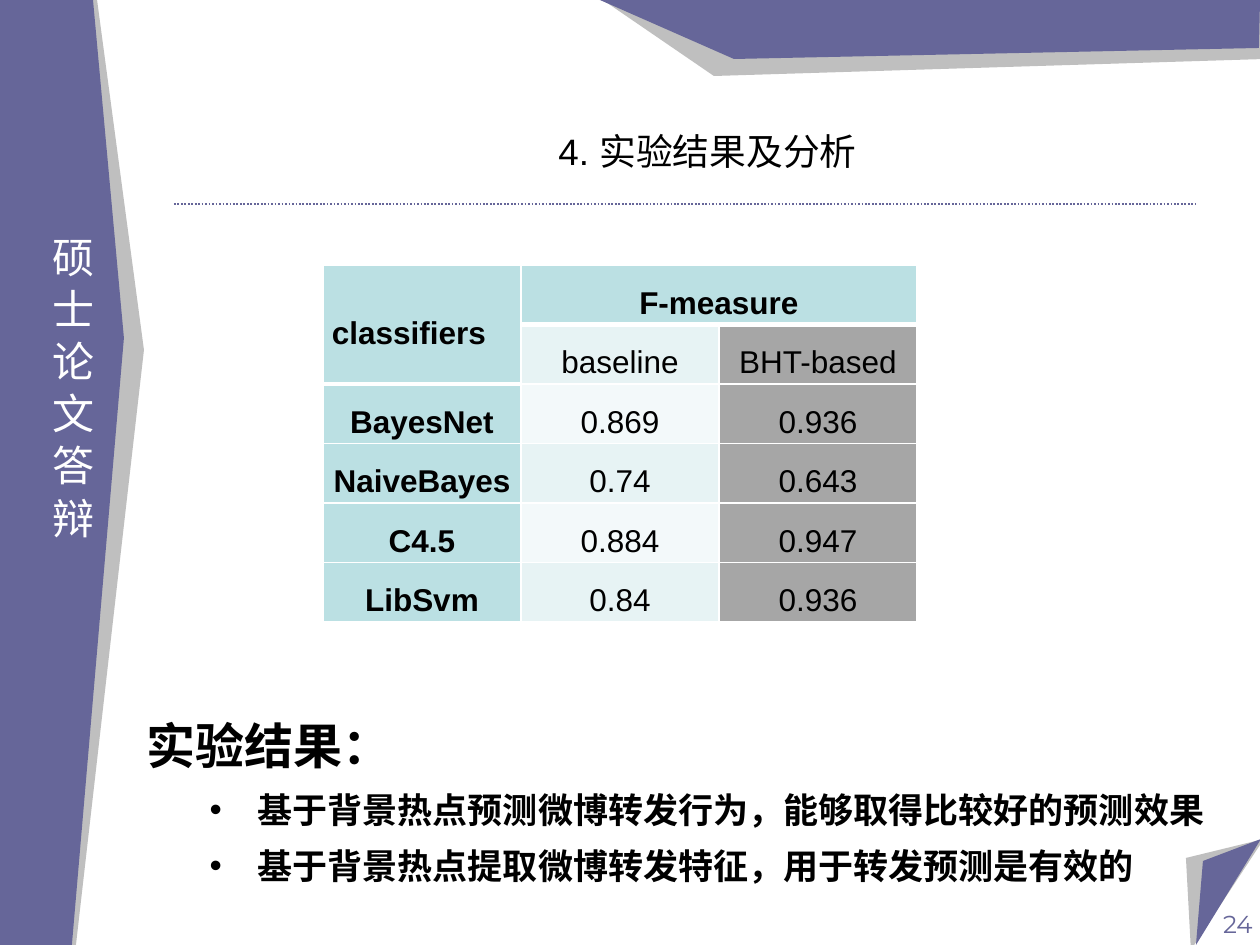
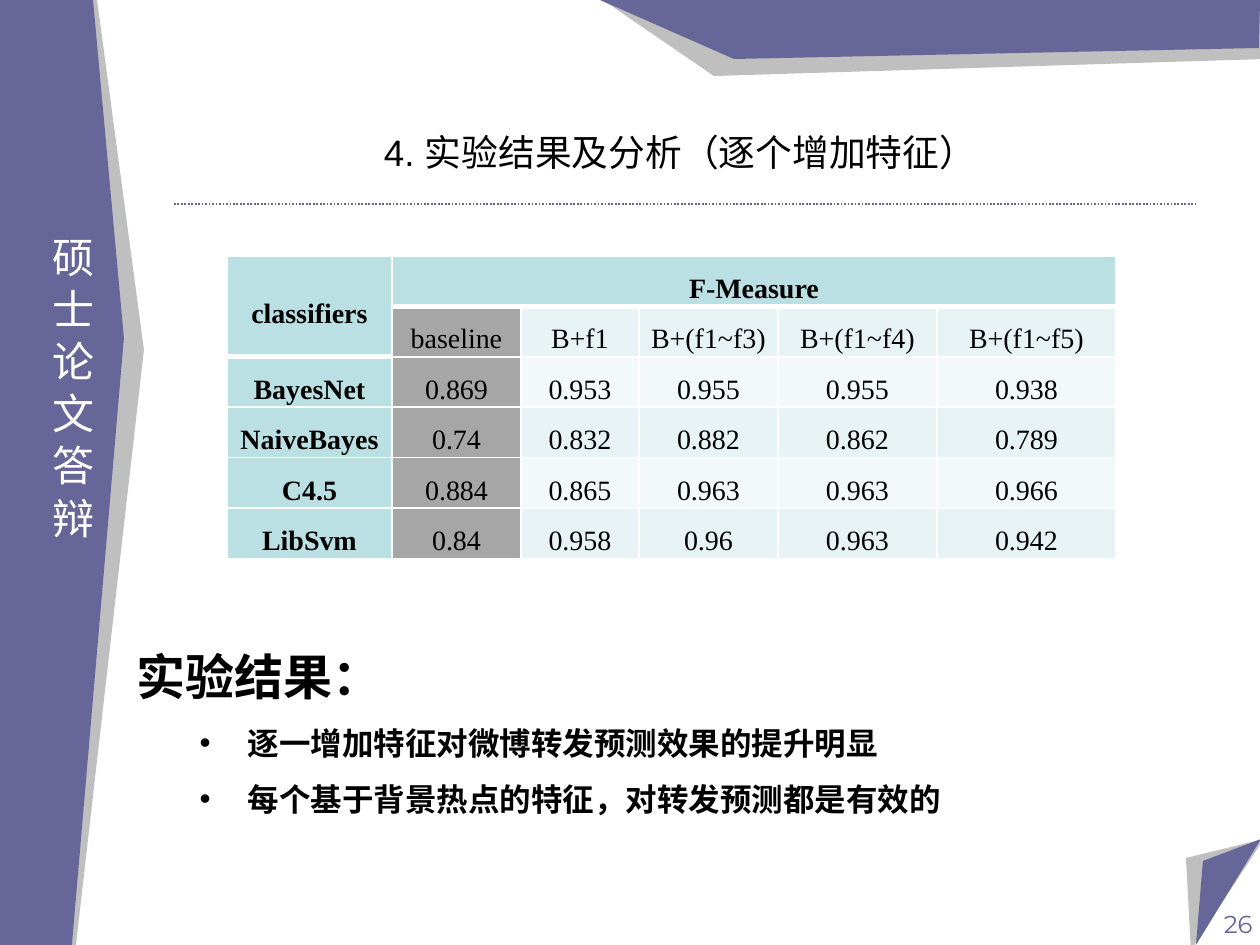
from lxml.etree import SubElement as Sub
from pptx import Presentation
from pptx.dml.color import RGBColor as RGB
from pptx.enum.dml import MSO_LINE
from pptx.enum.shapes import MSO_CONNECTOR as CONN
from pptx.enum.text import MSO_ANCHOR as ANCHOR, MSO_AUTO_SIZE as FIT, PP_ALIGN as ALIGN
from pptx.oxml.ns import qn
from pptx.util import Emu, Pt

SCALE = 914400 / 126  # EMU in one px
WIDTH, HEIGHT = 1260, 945

PURPLE = RGB(0x66, 0x66, 0x99)
GREY = RGB(0x80, 0x80, 0x80)
WHITE = RGB(0xFF, 0xFF, 0xFF)
BLACK = RGB(0, 0, 0)
HEADER = RGB(0xBB, 0xE0, 0xE3)
BAND_DARK = RGB(0xE7, 0xF3, 0xF4)
BAND_LIGHT = RGB(0xF3, 0xF9, 0xFA)
MARKED = RGB(0xA6, 0xA6, 0xA6)

SANS, SERIF, NUMBER, CJK = "Arial", "Times New Roman", "Montserrat", "Noto Sans CJK SC"

# Outlines of the frame, each translucent shadow before its purple face
TOP_SHADOW = [(600, -2), (714, 76), (1265, 59), (1264, -4)]
TOP_FACE = [(600, 0), (734, 59), (1259, 48), (1260, 0)]
SIDE_SHADOW = [(-5, 945), (76, 945), (144, 350), (97, -1), (-5, -1)]
SIDE_FACE = [(93, -1), (124, 338), (72, 945), (-5, 945), (-4, -1)]
CORNER_SHADOW = [(1191, 950), (1186, 858), (1264, 839)]
CORNER_FACE = [(1261, 839), (1196, 945), (1203, 861)]
FRAME = [(TOP_SHADOW, TOP_FACE), (SIDE_SHADOW, SIDE_FACE), (CORNER_SHADOW, CORNER_FACE)]


def px(n):
    return Emu(round(n * SCALE))


def set_all(obj, values):
    for name, value in values.items():
        setattr(obj, name, value)


def place(sp, x, y, w, h):
    set_all(sp, dict(left=px(x), top=px(y), width=px(w), height=px(h)))


def add_run(p, text, size, color, font=SANS, bold=False):
    r = p.add_run()
    r.text = text
    set_all(r.font, dict(size=Pt(size), bold=bold, name=font))
    r.font.color.rgb = color
    Sub(r.font._element, qn("a:ea"), typeface=CJK)


def add_text(slide, box, text, size, color, font=SANS, align=ALIGN.LEFT):
    sp = slide.shapes.add_textbox(*map(px, box))
    sp.text_frame.word_wrap = True
    p = sp.text_frame.paragraphs[0]
    p.alignment = align
    add_run(p, text, size, color, font)
    return sp


def add_outline(slide, points, color, alpha=None):
    builder = slide.shapes.build_freeform(*points[0], scale=SCALE)
    builder.add_line_segments(points[1:], close=True)
    sp = builder.convert_to_shape()
    sp.shadow.inherit = False
    sp.line.fill.background()
    sp.fill.solid()
    sp.fill.fore_color.rgb = color
    if alpha:
        clr = sp._element.spPr.find(qn("a:solidFill"))[0]
        Sub(clr, qn("a:alpha"), val=str(alpha * 1000))


def add_rule(slide, x1, x2, y):
    line = slide.shapes.add_connector(CONN.STRAIGHT, px(x1), px(y), px(x2), px(y))
    set_all(line.line, dict(width=Pt(1), dash_style=MSO_LINE.ROUND_DOT))
    line.line.color.rgb = PURPLE
    Sub(line._element.spPr, qn("a:effectLst"))


def add_frame(slide, number):
    for shadow, face in FRAME:
        add_outline(slide, shadow, GREY, alpha=50)
        add_outline(slide, face, PURPLE)
    side = add_text(slide, (17, 224, 86, 517), "硕 士 论 文 答 辩", 24, WHITE)
    side.text_frame._txBody.bodyPr.set("vert", "eaVert")
    add_rule(slide, 174, 1196, 204)
    add_text(slide, (971, 903, 294, 66), number, 14, PURPLE, NUMBER, ALIGN.RIGHT)


def fill_title(slide, text, spacing, indent=0):
    sp = slide.shapes.title
    place(sp, 164, 106, 1032, 98)
    set_all(sp.text_frame, dict(auto_size=FIT.NONE, vertical_anchor=ANCHOR.MIDDLE))
    p = sp.text_frame.paragraphs[0]
    set_all(p, dict(alignment=ALIGN.CENTER, line_spacing=spacing))
    p._p.get_or_add_pPr().set("marL", str(px(indent)))
    add_run(p, text, 21, BLACK)


def fill_findings(slide, box, items, size):
    sp = slide.placeholders[1]
    place(sp, *box)
    tf = sp.text_frame
    set_all(tf, dict(auto_size=FIT.NONE, word_wrap=True))
    for i, text in enumerate(["实验结果：", *items]):
        p = tf.add_paragraph() if i else tf.paragraphs[0]
        set_all(p, dict(level=min(i, 1), line_spacing=Pt(32), space_before=Pt(0)))
        pPr = p._p.get_or_add_pPr()
        pPr.set("marL", str(px(111 if i else 0)))
        pPr.set("indent", str(px(-48 if i else 0)))
        if i:
            Sub(pPr, qn("a:buChar"), char="•")
        else:
            Sub(pPr, qn("a:buNone"))
        add_run(p, text, size if i else 28, BLACK, CJK, bold=True)


def set_borders(cell, top, bottom):
    tcPr = cell._tc.get_or_add_tcPr()
    for side, width in dict(L=1, R=1, T=top, B=bottom).items():
        ln = Sub(tcPr, qn(f"a:ln{side}"), w=str(Pt(width)))
        Sub(Sub(ln, qn("a:solidFill")), qn("a:srgbClr"), val=str(WHITE))


def cell_color(row, col, marked):
    if row == 0 or col == 0:
        return HEADER
    if col == marked:
        return MARKED
    return BAND_DARK if row % 2 else BAND_LIGHT


def add_scores(slide, x, y, height, widths, rows, marked, size, font, corner_align):
    n_rows, n_cols = len(rows), len(widths)
    box = map(px, (x, y, sum(widths), height))
    table = slide.shapes.add_table(n_rows, n_cols, *box).table
    set_all(table, dict(first_row=False, horz_banding=False))
    for col, width in zip(table.columns, widths):
        col.width = px(width)
    for row in table.rows:
        row.height = px(height / n_rows)
    for r, values in enumerate(rows):
        for c, text in enumerate(values):
            cell = table.cell(r, c)
            header_end = 1 if c == 0 else 0
            set_borders(cell, 3 if r == header_end + 1 else 1, 3 if r == header_end else 1)
            cell.fill.solid()
            cell.fill.fore_color.rgb = cell_color(r, c, marked)
            set_all(cell, dict(margin_left=px(9), margin_right=px(9), margin_top=0,
                               margin_bottom=0, vertical_anchor=ANCHOR.MIDDLE))
            if text:
                p = cell.text_frame.paragraphs[0]
                align = corner_align if r == c == 0 else ALIGN.CENTER
                set_all(p, dict(alignment=align, line_spacing=1.5))
                add_run(p, text, size, BLACK, font, bold=r == 0 or c == 0)
    # The corner spans both header rows, the measure spans all score columns
    table.cell(0, 0).merge(table.cell(1, 0))
    table.cell(0, 1).merge(table.cell(0, n_cols - 1))


def new_slide(prs, number):
    slide = prs.slides.add_slide(prs.slide_layouts[1])
    add_frame(slide, number)
    return slide


def main():
    prs = Presentation()
    set_all(prs, dict(slide_width=px(WIDTH), slide_height=px(HEIGHT)))

    # Baseline against the hot-topic method
    s = new_slide(prs, "24")
    fill_title(s, "4. 实验结果及分析", 0.8, indent=55)
    rows = [
        ["classifiers", "F-measure", ""],
        ["", "baseline", "BHT-based"],
        ["BayesNet", "0.869", "0.936"],
        ["NaiveBayes", "0.74", "0.643"],
        ["C4.5", "0.884", "0.947"],
        ["LibSvm", "0.84", "0.936"],
    ]
    add_scores(s, 323, 265, 357, [198] * 3, rows, 2, 18, SANS, ALIGN.LEFT)
    fill_findings(s, (134, 712, 1091, 183), [
        "基于背景热点预测微博转发行为，能够取得比较好的预测效果",
        "基于背景热点提取微博转发特征，用于转发预测是有效的",
    ], 20)

    # Features added one by one
    s = new_slide(prs, "26")
    fill_title(s, "4. 实验结果及分析（逐个增加特征）", 0.9)
    rows = [
        ["classifiers", "F-Measure", "", "", "", ""],
        ["", "baseline", "B+f1", "B+(f1~f3)", "B+(f1~f4)", "B+(f1~f5)"],
        ["BayesNet", "0.869", "0.953", "0.955", "0.955", "0.938"],
        ["NaiveBayes", "0.74", "0.832", "0.882", "0.862", "0.789"],
        ["C4.5", "0.884", "0.865", "0.963", "0.963", "0.966"],
        ["LibSvm", "0.84", "0.958", "0.96", "0.963", "0.942"],
    ]
    widths = [165, 129, 118, 139, 159, 179]
    add_scores(s, 227, 256, 280, widths, rows, 1, 16, SERIF, ALIGN.CENTER)
    fill_findings(s, (124, 643, 837, 178), [
        "逐一增加特征对微博转发预测效果的提升明显",
        "每个基于背景热点的特征，对转发预测都是有效的",
    ], 18)

    prs.save("out.pptx")


if __name__ == "__main__":
    main()
